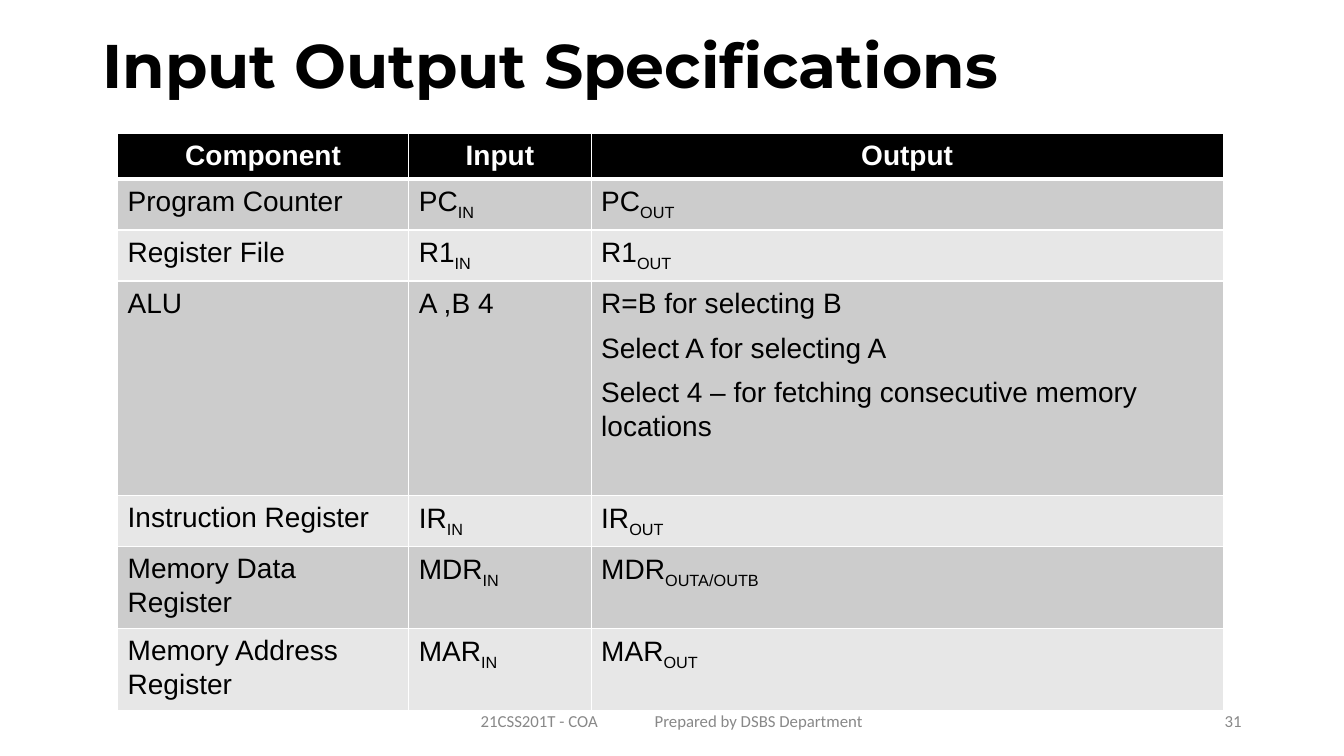
from dataclasses import dataclass

from lxml import etree
from pptx import Presentation
from pptx.dml.color import RGBColor
from pptx.enum.text import MSO_ANCHOR, PP_ALIGN
from pptx.oxml.ns import qn
from pptx.util import Pt

LEFT, CENTER, RIGHT = PP_ALIGN.LEFT, PP_ALIGN.CENTER, PP_ALIGN.RIGHT
MIDDLE = MSO_ANCHOR.MIDDLE
BLACK, WHITE, GRAY = "000000", "FFFFFF", "888888"
BANDS = ("CCCCCC", "E7E7E7")


@dataclass
class Label:
    text: str
    left: float
    top: float
    width: float
    height: float
    size: float
    font: str
    color: str
    align: PP_ALIGN = LEFT
    bold: bool = False
    line_spacing: float = 1.0
    tab: float = 0


@dataclass
class Component:
    height: float
    name: str
    input: str
    output: tuple[str, ...]


LABELS = [
    Label("Input Output Specifications", 66, 24, 828, 50.4, 44, "Montserrat", BLACK,
          bold=True, line_spacing=0.9),
    Label("21CSS201T - COA\tPrepared by DSBS Department", 336.25, 500.4, 288, 28.8,
          12, "Calibri", GRAY, tab=124.3),
    Label("31", 678, 500.4, 216, 28.8, 12, "Calibri", GRAY, RIGHT),
]
HEADINGS = ("Component", "Input", "Output")
HEADING_HEIGHT = 30.5
COLUMN_WIDTHS = (208, 130.3, 451.5)
COMPONENTS = [
    Component(34.5, "Program Counter", "PC_IN", ("PC_OUT",)),
    Component(34.5, "Register File", "R1_IN", ("R1_OUT",)),
    Component(153, "ALU", "A ,B 4", (
        "R=B for selecting B",
        "Select A for selecting A",
        "Select 4 – for fetching consecutive memory locations",
    )),
    Component(34.5, "Instruction Register", "IR_IN", ("IR_OUT",)),
    Component(54.8, "Memory Data Register", "MDR_IN", ("MDR_OUTA/OUTB",)),
    Component(54.8, "Memory Address Register", "MAR_IN", ("MAR_OUT",)),
]


def rgb(color: str) -> RGBColor:
    return RGBColor.from_string(color)


def set_font(paragraph, name: str, size: float, color: str, bold: bool) -> None:
    font = paragraph.font
    font.name, font.size, font.bold = name, Pt(size), bold
    font.color.rgb = rgb(color)


def add_label(slide, label: Label) -> None:
    box = slide.shapes.add_textbox(
        Pt(label.left), Pt(label.top), Pt(label.width), Pt(label.height))
    frame = box.text_frame
    frame.word_wrap = True
    frame.vertical_anchor = MIDDLE
    paragraph = frame.paragraphs[0]
    paragraph.text = label.text
    paragraph.alignment = label.align
    paragraph.line_spacing = label.line_spacing
    if label.tab:
        stops = etree.SubElement(paragraph._p.get_or_add_pPr(), qn("a:tabLst"))
        etree.SubElement(stops, qn("a:tab"), pos=str(Pt(label.tab)), algn="l")
    set_font(paragraph, label.font, label.size, label.color, label.bold)


def add_borders(cell, top: float, bottom: float) -> None:
    properties = cell._tc.get_or_add_tcPr()
    for side, width in (("L", 1), ("R", 1), ("T", top), ("B", bottom)):
        line = etree.SubElement(properties, qn(f"a:ln{side}"), w=str(Pt(width)))
        fill = etree.SubElement(line, qn("a:solidFill"))
        etree.SubElement(fill, qn("a:srgbClr"), val=WHITE)


def fill_cell(cell, lines: tuple[str, ...], fill: str, heading: bool, top: float) -> None:
    add_borders(cell, top, 3 if heading else 1)
    cell.fill.solid()
    cell.fill.fore_color.rgb = rgb(fill)
    frame = cell.text_frame
    for index, line in enumerate(lines):
        paragraph = frame.add_paragraph() if index else frame.paragraphs[0]
        signal, _, subscript = line.partition("_")
        paragraph.add_run().text = signal
        if subscript:
            run = paragraph.add_run()
            run.text = subscript
            run._r.get_or_add_rPr().set("baseline", "-25000")
        paragraph.alignment = CENTER if heading else LEFT
        paragraph.line_spacing = 1.07
        paragraph.space_after = Pt(8)
        set_font(paragraph, "Arial", 20, WHITE if heading else BLACK, heading)


def add_specifications(slide) -> None:
    heights = [HEADING_HEIGHT] + [component.height for component in COMPONENTS]
    table = slide.shapes.add_table(
        len(heights), len(HEADINGS), Pt(84), Pt(95),
        Pt(sum(COLUMN_WIDTHS)), Pt(sum(heights))).table
    for column, width in zip(table.columns, COLUMN_WIDTHS):
        column.width = Pt(width)
    for row, height in zip(table.rows, heights):
        row.height = Pt(height)
    for column, heading in enumerate(HEADINGS):
        fill_cell(table.cell(0, column), (heading,), BLACK, True, 1)
    for row, component in enumerate(COMPONENTS, 1):
        contents = ((component.name,), (component.input,), component.output)
        for column, lines in enumerate(contents):
            fill_cell(table.cell(row, column), lines, BANDS[(row - 1) % 2], False,
                      3 if row == 1 else 1)


def main() -> None:
    presentation = Presentation()
    presentation.slide_width, presentation.slide_height = Pt(960), Pt(540)
    slide = presentation.slides.add_slide(presentation.slide_layouts[6])
    for label in LABELS:
        add_label(slide, label)
    add_specifications(slide)
    presentation.save("out.pptx")


if __name__ == "__main__":
    main()
